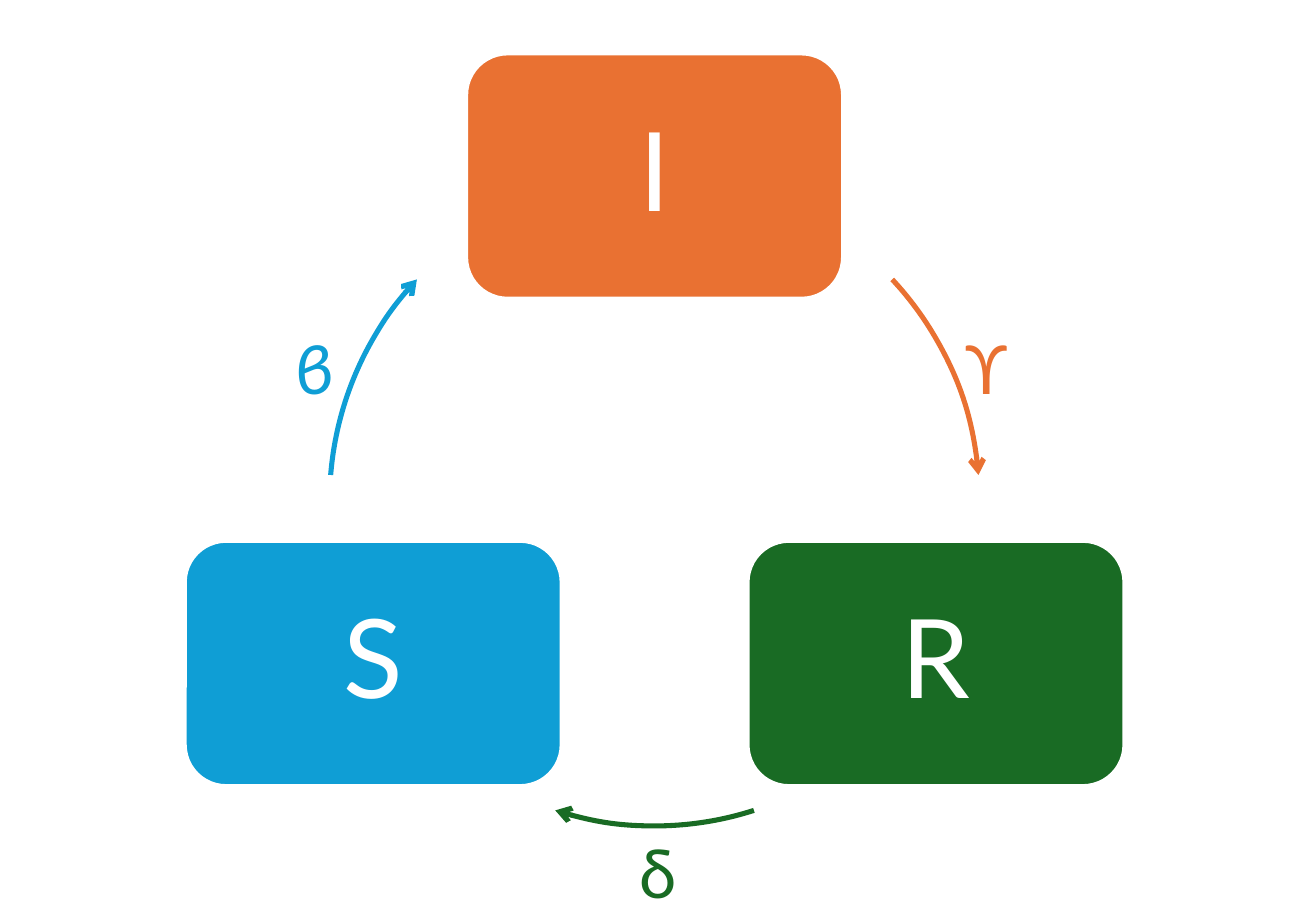
from dataclasses import dataclass
from math import cos, radians, sin

from pptx import Presentation
from pptx.dml.color import RGBColor
from pptx.enum.shapes import MSO_SHAPE as Shape
from pptx.enum.text import MSO_ANCHOR as Anchor, MSO_AUTO_SIZE as AutoSize, PP_ALIGN as Align
from pptx.oxml.xmlchemy import OxmlElement
from pptx.slide import Slide
from pptx.text.text import _Paragraph as Paragraph
from pptx.util import Pt

FONT = "Lato"
WHITE = "FFFFFF"
CENTER_X, CENTER_Y, RADIUS = 388, 297, 192.6
BOX_W, BOX_H, BOX_INSET = 222.5, 144.5, 26.5
LABEL_TOP_MARGIN_H = 55.5


@dataclass(frozen=True)
class Compartment:
    name: str
    color: str
    angle: float
    arc_start: float
    arc_end: float


@dataclass(frozen=True)
class Rate:
    symbol: str
    color: str
    left: float
    top: float
    width: float
    align: Align


ORANGE, GREEN, BLUE = "E97132", "196B24", "0F9ED5"

COMPARTMENTS = [
    Compartment("I", ORANGE, 270, 317, 355.4),
    Compartment("R", GREEN, 30, 72.2, 107.8),
    Compartment("S", BLUE, 150, 184.6, 223),
]

RATES = [
    Rate("ϐ", BLUE, 167.8, 190.1, 59, Align.LEFT),
    Rate("ϒ", ORANGE, 565.2, 190.1, 94.3, Align.LEFT),
    Rate("δ", GREEN, 329.8, 488.9, 120.2, Align.CENTER),
]


def rgb(color: str) -> RGBColor:
    return RGBColor.from_string(color)


def style_text(p: Paragraph, text: str, size: float, color: str, align: Align) -> None:
    p.text = text
    p.alignment = align
    p.font.name = FONT
    p.font.size = Pt(size)
    p.font.color.rgb = rgb(color)


def draw_box(s: Slide, item: Compartment) -> None:
    x = CENTER_X + RADIUS * cos(radians(item.angle))
    y = CENTER_Y + RADIUS * sin(radians(item.angle))
    sp = s.shapes.add_shape(Shape.ROUNDED_RECTANGLE, Pt(x - BOX_W / 2), Pt(y - BOX_H / 2),
                            Pt(BOX_W), Pt(BOX_H))
    sp.shadow.inherit = False
    sp.fill.solid()
    sp.fill.fore_color.rgb = rgb(item.color)
    sp.line.color.rgb = rgb(WHITE)
    sp.line.width = Pt(1.5)
    tf = sp.text_frame
    tf.margin_left = tf.margin_right = tf.margin_top = tf.margin_bottom = Pt(BOX_INSET)
    tf.vertical_anchor = Anchor.MIDDLE
    tf.word_wrap = True
    p = tf.paragraphs[0]
    style_text(p, item.name, 65, WHITE, Align.CENTER)
    p.line_spacing = 0.9


def draw_arc(s: Slide, item: Compartment) -> None:
    sp = s.shapes.add_shape(Shape.ARC, Pt(CENTER_X - RADIUS), Pt(CENTER_Y - RADIUS),
                            Pt(2 * RADIUS), Pt(2 * RADIUS))
    sp.adjustments[0] = item.arc_start * 0.6
    sp.adjustments[1] = item.arc_end * 0.6
    sp.shadow.inherit = False
    sp.fill.background()
    sp.line.color.rgb = rgb(item.color)
    sp.line.width = Pt(3)
    tail = OxmlElement("a:tailEnd")
    tail.set("type", "arrow")
    sp.line._get_or_add_ln().append(tail)


def draw_rate(s: Slide, rate: Rate) -> None:
    sp = s.shapes.add_textbox(Pt(rate.left), Pt(rate.top), Pt(rate.width), Pt(LABEL_TOP_MARGIN_H))
    tf = sp.text_frame
    tf.word_wrap = True
    tf.auto_size = AutoSize.SHAPE_TO_FIT_TEXT
    style_text(tf.paragraphs[0], rate.symbol, 40, rate.color, rate.align)


def main() -> None:
    prs = Presentation()
    prs.slide_width, prs.slide_height = Pt(780), Pt(540)
    s = prs.slides.add_slide(prs.slide_layouts[6])
    for item in COMPARTMENTS:
        draw_box(s, item)
        draw_arc(s, item)
    for rate in RATES:
        draw_rate(s, rate)
    prs.save("out.pptx")


if __name__ == "__main__":
    main()
